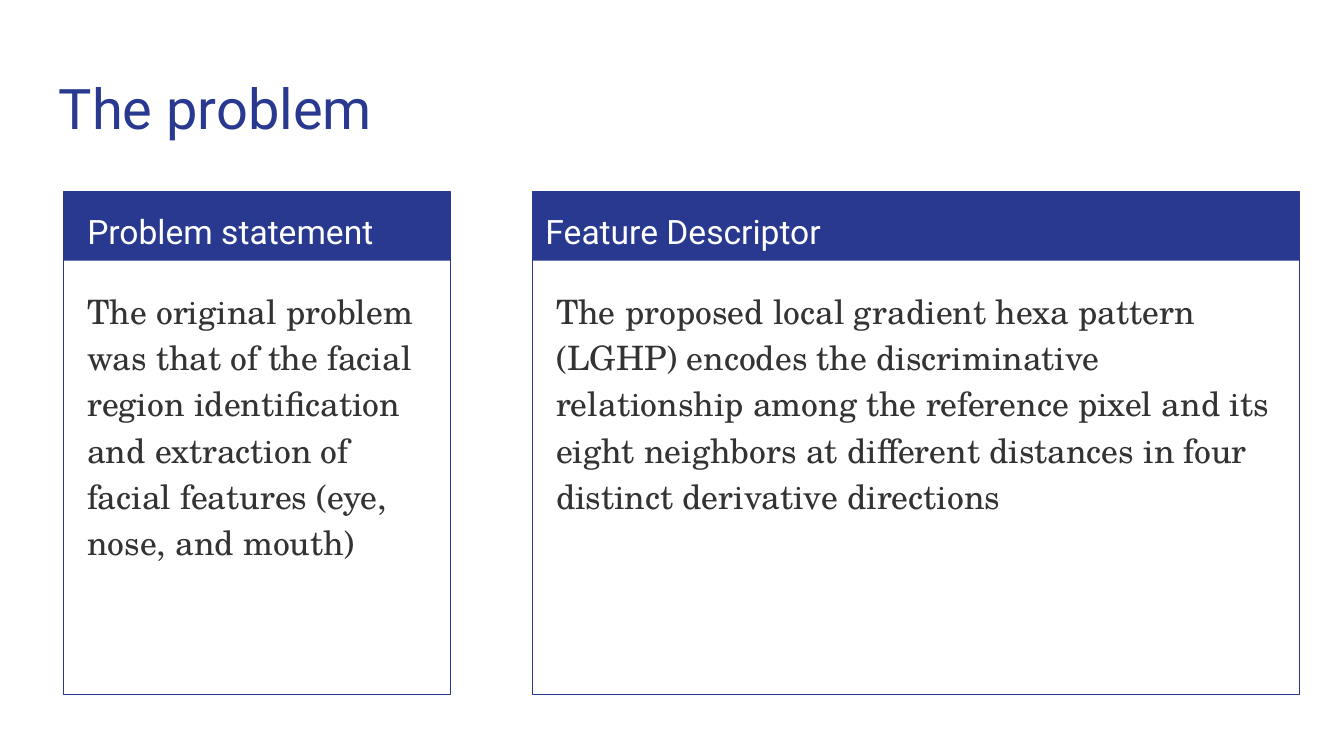
from dataclasses import dataclass

from pptx import Presentation
from pptx.dml.color import RGBColor
from pptx.enum.shapes import MSO_SHAPE
from pptx.enum.text import MSO_ANCHOR, MSO_AUTO_SIZE, PP_ALIGN
from pptx.util import Cm, Pt


@dataclass(frozen=True)
class Theme:
    navy: RGBColor = RGBColor(0x2A, 0x39, 0x90)
    white: RGBColor = RGBColor(0xFF, 0xFF, 0xFF)
    ink: RGBColor = RGBColor(0x33, 0x33, 0x33)
    heading_font: str = "Roboto"
    body_font: str = "TeX Gyre Schola"
    title_size: Pt = Pt(30)
    text_size: Pt = Pt(18)
    border: Pt = Pt(0.75)


theme = Theme()


def write(holder, text, font, size, color, line_spacing=1.0, space_after=0):
    frame = holder.text_frame
    frame.word_wrap = True
    frame.auto_size = MSO_AUTO_SIZE.NONE
    frame.vertical_anchor = MSO_ANCHOR.TOP
    frame.margin_left = frame.margin_right = Cm(0.25)
    frame.margin_top = frame.margin_bottom = Cm(0.25)
    paragraph = frame.paragraphs[0]
    paragraph.alignment = PP_ALIGN.LEFT
    paragraph.line_spacing = line_spacing
    paragraph.space_before = Pt(0)
    paragraph.space_after = Pt(space_after)
    run = paragraph.add_run()
    run.text = text
    run.font.name = font
    run.font.size = size
    run.font.color.rgb = color


deck = Presentation()
deck.slide_width, deck.slide_height = Cm(25.4), Cm(14.29)
slide = deck.slides.add_slide(deck.slide_layouts[5])

title = slide.shapes.title
title.left, title.top, title.width, title.height = Cm(0.86), Cm(1.14), Cm(23.67), Cm(1.68)
write(title, "The problem", theme.heading_font, theme.title_size, theme.navy)

card_top, card_height, header_height = 3.63, 9.5, 1.3
body_top, body_height, padding = 5.13, 7.77, 0.2

cards = [
    (1.2, 7.32, padding, "Problem statement",
     "The original problem was that of the facial region identification "
     "and extraction of facial features (eye, nose, and mouth)"),
    (10.06, 14.5, 0, "Feature Descriptor",
     "The proposed local gradient hexa pattern (LGHP) encodes the discriminative "
     "relationship among the reference pixel and its eight neighbors at different "
     "distances in four distinct derivative directions"),
]

for left, width, heading_indent, heading, body in cards:
    card = slide.shapes.add_group_shape()
    header = card.shapes.add_shape(
        MSO_SHAPE.RECTANGLE, Cm(left), Cm(card_top), Cm(width), Cm(header_height))
    header.shadow.inherit = False
    header.fill.solid()
    header.fill.fore_color.rgb = theme.navy
    header.line.fill.background()

    outline = card.shapes.add_shape(
        MSO_SHAPE.RECTANGLE, Cm(left), Cm(card_top), Cm(width), Cm(card_height))
    outline.shadow.inherit = False
    outline.fill.background()
    outline.line.color.rgb = theme.navy
    outline.line.width = theme.border

    heading_area = slide.shapes.add_textbox(
        Cm(left + heading_indent), Cm(card_top),
        Cm(width - heading_indent - padding), Cm(header_height))
    write(heading_area, heading, theme.heading_font, theme.text_size, theme.white, 1.15)

    body_area = slide.shapes.add_textbox(
        Cm(left + padding), Cm(body_top), Cm(width - 2 * padding), Cm(body_height))
    write(body_area, body, theme.body_font, theme.text_size, theme.ink, 1.15, 16)

deck.save("out.pptx")
